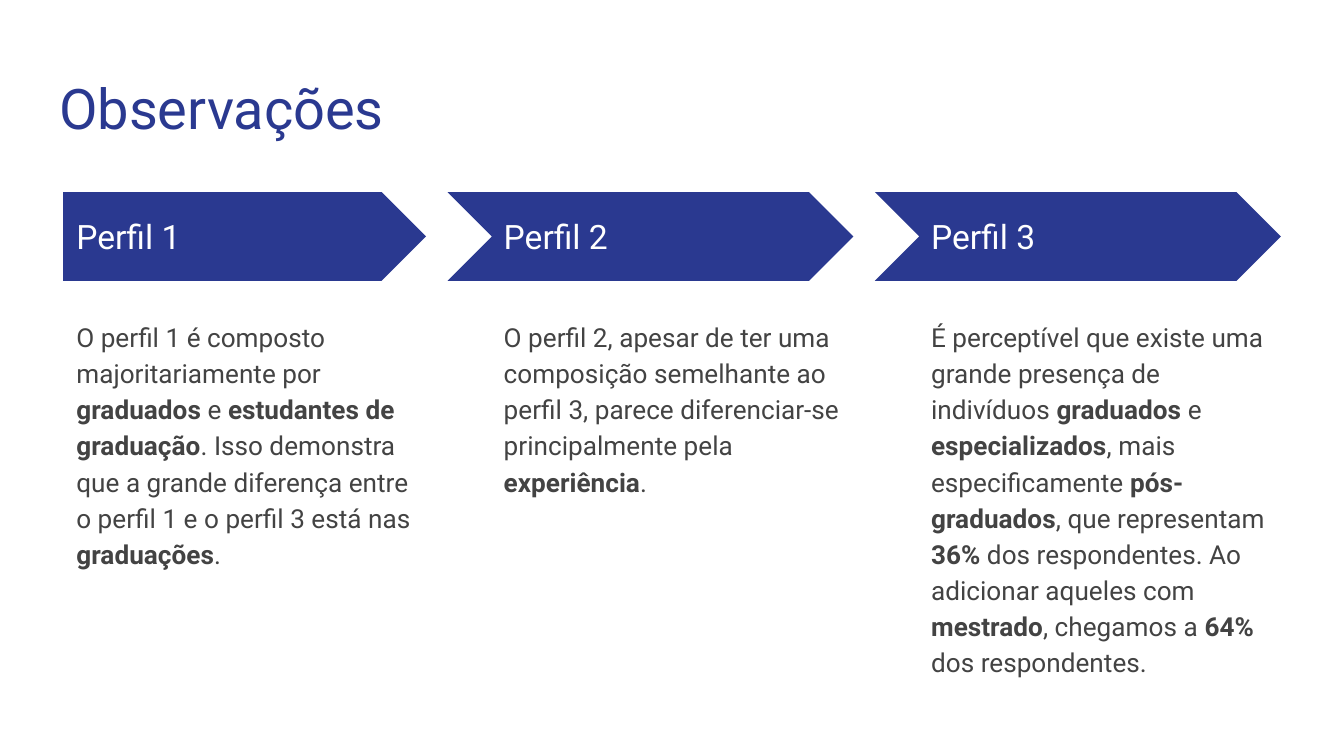
import pptx
import pptx.util
import pptx.dml.color
import pptx.enum.shapes
import pptx.enum.text

Inches = pptx.util.Inches
Pt = pptx.util.Pt
RGB = pptx.dml.color.RGBColor
Shape = pptx.enum.shapes.MSO_SHAPE
Anchor = pptx.enum.text.MSO_ANCHOR
Align = pptx.enum.text.PP_ALIGN

BLUE = RGB(0x2A, 0x39, 0x90)
WHITE = RGB(0xFF, 0xFF, 0xFF)
GRAY = RGB(0x43, 0x43, 0x43)

LEFT = 0.47
PITCH = 3.18
WIDTH = 2.7
NOTCH = 0.32

TITLE = {"size": Pt(30), "name": "Roboto", "color": BLUE}
HEAD = {"size": Pt(18), "name": "Roboto", "color": WHITE}
BODY = {"size": Pt(14), "name": "Roboto", "color": GRAY}

PROFILES = [
    ("Perfil 1",
     "O perfil 1 é composto majoritariamente por **graduados** e "
     "**estudantes de graduação**. Isso demonstra que a grande diferença "
     "entre o perfil 1 e o perfil 3 está nas **graduações**."),
    ("Perfil 2",
     "O perfil 2, apesar de ter uma composição semelhante ao perfil 3, "
     "parece diferenciar-se principalmente pela **experiência**."),
    ("Perfil 3",
     "É perceptível que existe uma grande presença de indivíduos "
     "**graduados** e **especializados**, mais especificamente "
     "**pós-graduados**, que representam **36%** dos respondentes. "
     "Ao adicionar aqueles com **mestrado**, chegamos a **64%** "
     "dos respondentes."),
]


def write(box, text, style, anchor=Anchor.TOP):
    frame = box.text_frame
    layout = {"word_wrap": True, "vertical_anchor": anchor,
              "auto_size": pptx.enum.text.MSO_AUTO_SIZE.NONE}
    for side in ("left", "top", "right", "bottom"):
        layout["margin_" + side] = Inches(0.1)
    for key, value in layout.items():
        setattr(frame, key, value)
    para = frame.paragraphs[0]
    para.alignment = Align.LEFT
    for index, part in enumerate(text.split("**")):
        run = para.add_run()
        run.text = part
        run.font.bold = index % 2 == 1
        for key, value in style.items():
            if key == "color":
                run.font.color.rgb = value
            else:
                setattr(run.font, key, value)
    return para


deck = pptx.Presentation()
deck.slide_width = Inches(10)
deck.slide_height = Inches(10) * 9 // 16
slide = deck.slides.add_slide(deck.slide_layouts[5])
shapes = slide.shapes

title = shapes.title
place = {"left": 0.34, "top": 0.45, "width": 9.32, "height": 0.66}
for key, value in place.items():
    setattr(title, key, Inches(value))
write(title, "Observações", TITLE)

for index, (name, text) in enumerate(PROFILES):
    left = LEFT + index * PITCH
    kind = Shape.CHEVRON if index else Shape.PENTAGON
    notch = NOTCH if index else 0
    arrow = shapes.add_shape(kind, Inches(left - notch), Inches(1.43),
                             Inches(WIDTH + notch), Inches(0.66))
    arrow.adjustments[0] = 0.5
    arrow.shadow.inherit = False
    arrow.fill.solid()
    arrow.fill.fore_color.rgb = BLUE
    arrow.line.fill.background()

    head = shapes.add_textbox(Inches(left), Inches(1.59),
                              Inches(2.47), Inches(0.34))
    write(head, name, HEAD, Anchor.MIDDLE)

    body = shapes.add_textbox(Inches(left), Inches(2.26),
                              Inches(WIDTH), Inches(2.9))
    para = write(body, text, BODY)
    para.line_spacing = 1.15

deck.save("out.pptx")
